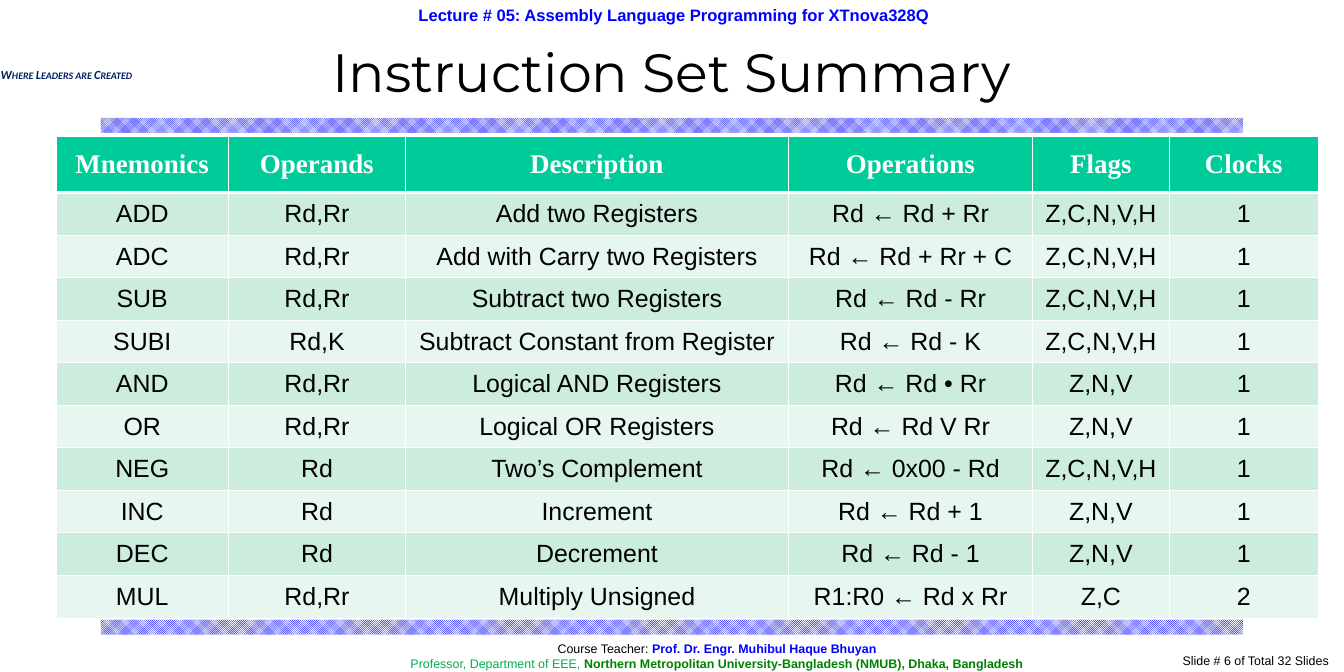
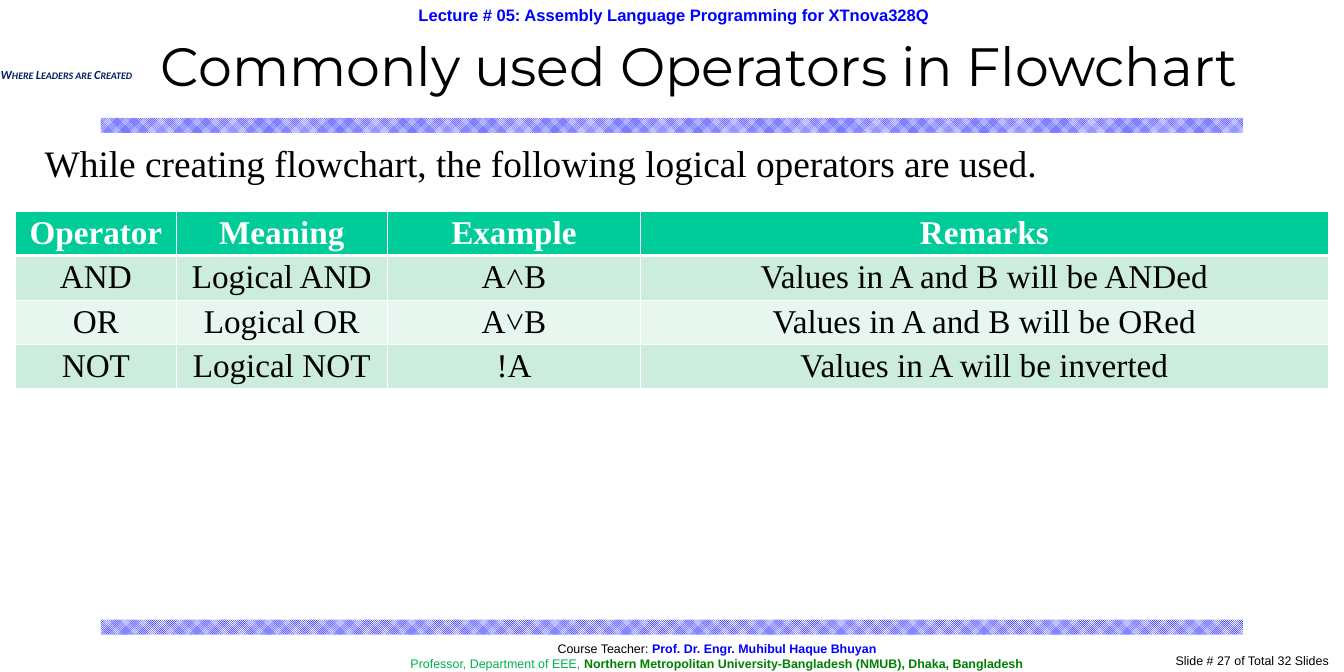
import pptx
import pptx.dml.color
import pptx.enum.dml
import pptx.enum.shapes
import pptx.enum.text
import pptx.oxml
import pptx.oxml.ns
import pptx.util
import lxml.etree

Inches = pptx.util.Inches
Pt = pptx.util.Pt
RGBColor = pptx.dml.color.RGBColor
ALIGN = pptx.enum.text.PP_ALIGN
ANCHOR = pptx.enum.text.MSO_ANCHOR
RECT = pptx.enum.shapes.MSO_SHAPE.RECTANGLE

WHITE = RGBColor(0xFF, 0xFF, 0xFF)
BLACK = RGBColor(0x00, 0x00, 0x00)
BLUE = RGBColor(0x00, 0x00, 0xFF)
NAVY = RGBColor(0x00, 0x20, 0x60)
LIGHT_GREEN = RGBColor(0x00, 0xB0, 0x50)
DARK_GREEN = RGBColor(0x00, 0x80, 0x00)
HEADER_FILL = RGBColor(0x00, 0xCC, 0x99)
BAND_FILLS = [RGBColor(0xE7, 0xF6, 0xEF), RGBColor(0xCC, 0xEC, 0xDE)]

SERIF = "Times New Roman"
SANS = "Arial"


def add_run(p, text, size, font, color, bold=False):
    r = p.add_run()
    r.text = text
    r.font.size = Pt(size)
    r.font.name = font
    r.font.color.rgb = color
    r.font.bold = bold
    return r


def add_box(s, at, lines, align, anchor=ANCHOR.TOP, margins=(0.1, 0.05), fill=None):
    at = [Inches(v) for v in at]
    if fill is None:
        sp = s.shapes.add_textbox(*at)
    else:
        sp = s.shapes.add_shape(RECT, *at)
        sp.shadow.inherit = False
        sp.fill.solid()
        sp.fill.fore_color.rgb = fill
        sp.line.color.rgb = fill
        sp.line.width = Pt(0.75)
    tf = sp.text_frame
    tf.word_wrap = True
    tf.vertical_anchor = anchor
    tf.margin_left = tf.margin_right = Inches(margins[0])
    tf.margin_top = tf.margin_bottom = Inches(margins[1])
    for i, runs in enumerate(lines):
        p = tf.paragraphs[0] if i == 0 else tf.add_paragraph()
        p.alignment = align
        for run in runs:
            add_run(p, *run)
    return sp


FOOTER = [
    [("Course Teacher:", 12, SANS, BLACK),
     (" Prof. Dr. Engr. Muhibul Haque Bhuyan", 12, SANS, BLUE, True)],
    [("Professor, Department of EEE, ", 12, SANS, LIGHT_GREEN),
     ("Northern Metropolitan University-Bangladesh (NMUB), Dhaka, Bangladesh",
      12, SANS, DARK_GREEN, True)],
]

SLIDES = [
    {
        "number": 6,
        "title": "Instruction Set Summary",
        "title_at": (1.35, 0.5, 15.3, 0.9),
        "intro": None,
        "table_at": (0.75, 1.83),
        "cols": [2.31, 2.37, 5.13, 3.27, 1.83, 2],
        "row_heights": (0.75, 0.57),
        "margins": (0.12, 0.06),
        "header_size": 26,
        "body_font": (24, SANS),
        "rows": [
            ["Mnemonics", "Operands", "Description", "Operations", "Flags", "Clocks"],
            ["ADD", "Rd,Rr", "Add two Registers", "Rd ← Rd + Rr", "Z,C,N,V,H", "1"],
            ["ADC", "Rd,Rr", "Add with Carry two Registers", "Rd ← Rd + Rr + C", "Z,C,N,V,H", "1"],
            ["SUB", "Rd,Rr", "Subtract two Registers", "Rd ← Rd - Rr", "Z,C,N,V,H", "1"],
            ["SUBI", "Rd,K", "Subtract Constant from Register", "Rd ← Rd - K", "Z,C,N,V,H", "1"],
            ["AND", "Rd,Rr", "Logical AND Registers", "Rd ← Rd • Rr", "Z,N,V", "1"],
            ["OR", "Rd,Rr", "Logical OR Registers", "Rd ← Rd V Rr", "Z,N,V", "1"],
            ["NEG", "Rd", "Two’s Complement", "Rd ← 0x00 - Rd", "Z,C,N,V,H", "1"],
            ["INC", "Rd", "Increment", "Rd ← Rd + 1", "Z,N,V", "1"],
            ["DEC", "Rd", "Decrement", "Rd ← Rd - 1", "Z,N,V", "1"],
            ["MUL", "Rd,Rr", "Multiply Unsigned", "R1:R0 ← Rd x Rr", "Z,C", "2"],
        ],
    },
    {
        "number": 27,
        "title": "Commonly used Operators in Flowchart",
        "title_at": (1.25, 0.42, 16.23, 0.9),
        "intro": "While creating flowchart, the following logical operators are used.",
        "table_at": (0.21, 2.83),
        "cols": [2.15, 2.83, 3.39, 9.21],
        "row_heights": (0.59, 0.59),
        "margins": (0.1, 0.03),
        "header_size": 32,
        "body_font": (32, SERIF),
        "rows": [
            ["Operator", "Meaning", "Example", "Remarks"],
            ["AND", "Logical AND", "A˄B", "Values in A and B will be ANDed"],
            ["OR", "Logical OR", "A˅B", "Values in A and B will be ORed"],
            ["NOT", "Logical NOT", "!A", "Values in A will be inverted"],
        ],
    },
]

prs = pptx.Presentation()
prs.slide_width = Inches(18)
prs.slide_height = Inches(9)

for spec_data in SLIDES:
    s = prs.slides.add_slide(prs.slide_layouts[6])

    for top in (8.3, 1.58):
        band = s.shapes.add_shape(RECT, Inches(1.35), Inches(top), Inches(15.3), Inches(0.2))
        band.shadow.inherit = False
        band.fill.patterned()
        band.fill.pattern = pptx.enum.dml.MSO_PATTERN.SMALL_CHECKER_BOARD
        band.fill.fore_color.rgb = BLUE
        band.fill.back_color.rgb = WHITE
        band.line.fill.background()

    lecture = [[("Lecture # 05: Assembly Language Programming for XTnova328Q", 16, SANS, BLUE, True)]]
    add_box(s, (0.08, 0.06, 17.89, 0.27), lecture, ALIGN.CENTER, ANCHOR.MIDDLE, (0.13, 0), WHITE)
    add_box(s, (2.98, 8.58, 13.25, 0.42), FOOTER, ALIGN.CENTER, ANCHOR.TOP, (0.13, 0), WHITE)

    motto = add_box(s, (0.01, 0.84, 1.81, 0.33),
                    [[("Where Leaders are Created", 12, "Calibri", NAVY, True)]],
                    ALIGN.LEFT, margins=(0, 0.06))
    r = motto.text_frame.paragraphs[0].runs[0]
    r.font.italic = True
    r.font._element.set("cap", "small")

    page = f"Slide # {spec_data['number']} of Total 32 Slides"
    add_box(s, (14.93, 8.69, 3, 0.31), [[(page, 12, SANS, BLACK)]],
            ALIGN.RIGHT, ANCHOR.TOP, (0.13, 0.06), WHITE)

    add_box(s, spec_data["title_at"], [[(spec_data["title"], 52, "Montserrat", BLACK)]],
            ALIGN.CENTER, ANCHOR.MIDDLE)
    if spec_data["intro"]:
        add_box(s, (0.5, 1.83, 16.5, 0.83), [[(spec_data["intro"], 36, SERIF, BLACK)]], ALIGN.LEFT)

    rows, cols = spec_data["rows"], spec_data["cols"]
    header_height, body_height = spec_data["row_heights"]
    left, top = spec_data["table_at"]
    height = header_height + body_height * (len(rows) - 1)
    table = s.shapes.add_table(len(rows), len(cols), Inches(left), Inches(top),
                               Inches(sum(cols)), Inches(height)).table
    for column, width in zip(table.columns, cols):
        column.width = Inches(width)

    for i, row in enumerate(rows):
        table.rows[i].height = Inches(body_height if i else header_height)
        for j, text in enumerate(row):
            cell = table.cell(i, j)
            cell.vertical_anchor = ANCHOR.MIDDLE
            cell.margin_left = cell.margin_right = Inches(spec_data["margins"][0])
            cell.margin_top = cell.margin_bottom = Inches(spec_data["margins"][1])
            tcPr = cell._tc.get_or_add_tcPr()
            for side in "LRTB":
                thick = (i, side) in ((0, "B"), (1, "T"))
                ln = lxml.etree.SubElement(tcPr, pptx.oxml.ns.qn(f"a:ln{side}"),
                                           w=str(Pt(3 if thick else 1)))
                solid = lxml.etree.SubElement(ln, pptx.oxml.ns.qn("a:solidFill"))
                lxml.etree.SubElement(solid, pptx.oxml.ns.qn("a:srgbClr"), val=str(WHITE))
            cell.fill.solid()
            cell.fill.fore_color.rgb = BAND_FILLS[i % 2] if i else HEADER_FILL
            p = cell.text_frame.paragraphs[0]
            p.alignment = ALIGN.CENTER
            if i == 0:
                add_run(p, text, spec_data["header_size"], SERIF, WHITE, True)
            else:
                add_run(p, text, *spec_data["body_font"], BLACK)

prs.save("out.pptx")
